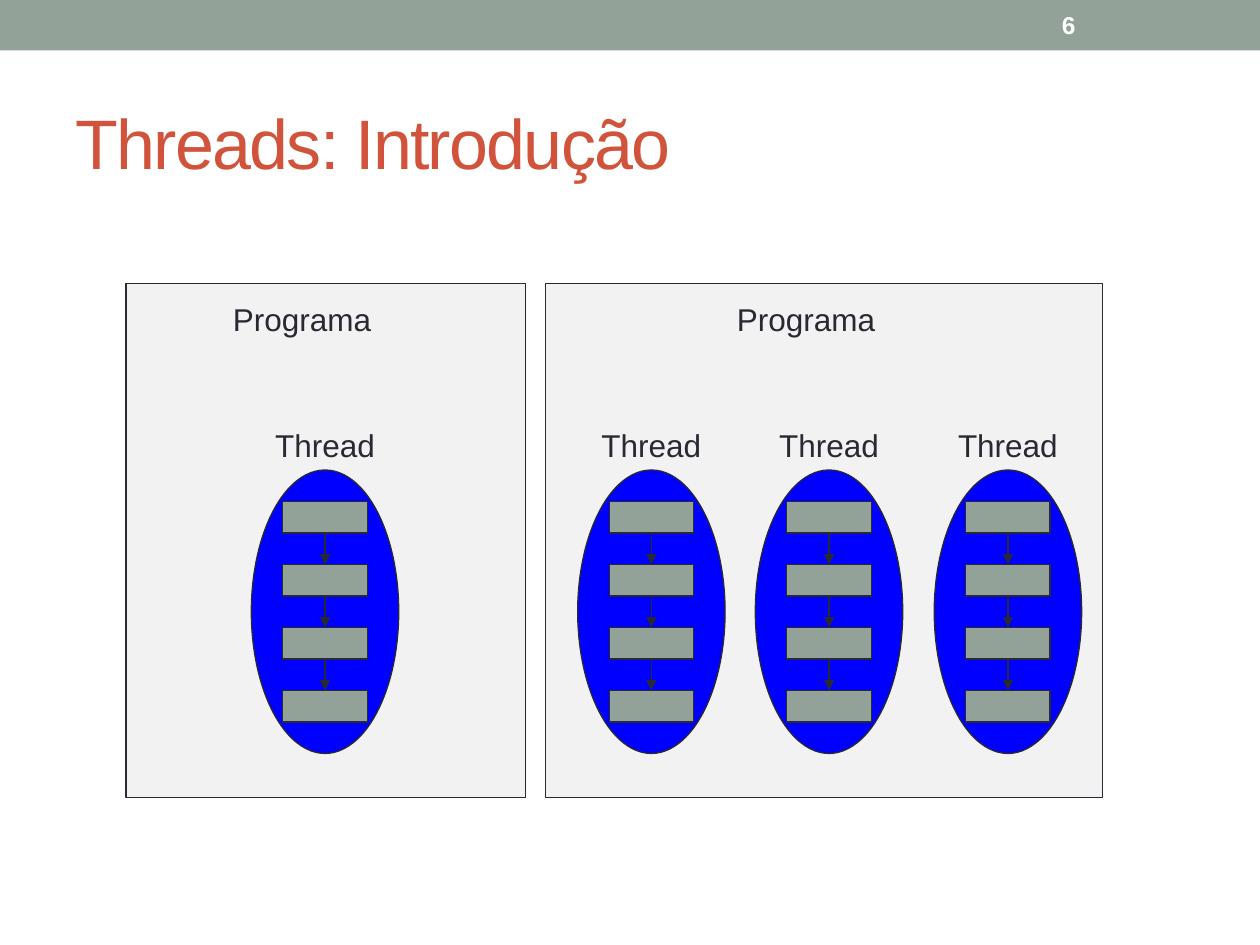
from dataclasses import dataclass

from pptx import Presentation
from pptx.dml.color import RGBColor
from pptx.enum.shapes import MSO_CONNECTOR, MSO_SHAPE
from pptx.enum.text import MSO_ANCHOR, MSO_AUTO_SIZE, PP_ALIGN
from pptx.oxml.ns import qn
from pptx.shapes.autoshape import Shape
from pptx.shapes.shapetree import GroupShapes
from pptx.slide import Slide
from pptx.text.text import TextFrame
from pptx.util import Inches, Pt
from lxml import etree

RECTANGLE = MSO_SHAPE.RECTANGLE
ELLIPSE = MSO_SHAPE.OVAL
STRAIGHT = MSO_CONNECTOR.STRAIGHT
MIDDLE = MSO_ANCHOR.MIDDLE
TOP = MSO_ANCHOR.TOP
LEFT = PP_ALIGN.LEFT
NO_AUTOFIT = MSO_AUTO_SIZE.NONE
BOTTOM_SIDE, TOP_SIDE = 2, 0


@dataclass(frozen=True)
class Theme:
    font: str = "Arial"
    band: RGBColor = RGBColor(0x93, 0xA2, 0x99)
    title: RGBColor = RGBColor(0xD2, 0x53, 0x3C)
    ink: RGBColor = RGBColor(0x29, 0x29, 0x34)
    panel: RGBColor = RGBColor(0xF2, 0xF2, 0xF2)
    thread: RGBColor = RGBColor(0x00, 0x00, 0xFF)
    white: RGBColor = RGBColor(0xFF, 0xFF, 0xFF)
    title_size: float = 40
    label_size: float = 18
    number_size: float = 14
    line_width: float = 0.75


@dataclass(frozen=True)
class Box:
    left: float
    top: float
    width: float
    height: float

    def lengths(self) -> tuple[Inches, ...]:
        return tuple(Inches(v) for v in (self.left, self.top, self.width, self.height))


@dataclass(frozen=True)
class Program:
    panel: Box
    label_left: float
    thread_centers: tuple[float, ...]


THEME = Theme()
THREAD_TOP = 3.73
THREAD_WIDTH, THREAD_HEIGHT = 1.17, 2.25
STEP_WIDTH, STEP_HEIGHT = 0.67, 0.25
STEP_COUNT, STEP_PITCH = 4, 0.5
LABEL_WIDTH, LABEL_HEIGHT = 0.99, 0.4
PROGRAMS = (
    Program(Box(1, 2.25, 3.17, 4.08), 1.75, (2.58,)),
    Program(Box(4.33, 2.25, 4.42, 4.08), 5.75, (5.17, 6.58, 8)),
)


def add_filled(shapes: GroupShapes, kind: MSO_SHAPE, box: Box,
               fill: RGBColor, outlined: bool = True) -> Shape:
    shape = shapes.add_shape(kind, *box.lengths())
    shape.shadow.inherit = False
    shape.fill.solid()
    shape.fill.fore_color.rgb = fill
    if outlined:
        shape.line.color.rgb = THEME.ink
        shape.line.width = Pt(THEME.line_width)
    else:
        shape.line.fill.background()
    return shape


def write(frame: TextFrame, text: str, size: float, color: RGBColor,
          anchor: MSO_ANCHOR = TOP, wrap: bool = True, bold: bool = False) -> None:
    frame.auto_size = NO_AUTOFIT
    frame.word_wrap = wrap
    frame.vertical_anchor = anchor
    frame.text = text
    paragraph = frame.paragraphs[0]
    paragraph.alignment = LEFT
    paragraph.font.name = THEME.font
    paragraph.font.size = Pt(size)
    paragraph.font.bold = bold
    paragraph.font.color.rgb = color


def add_label(shapes: GroupShapes, text: str, box: Box, wrap: bool = True) -> None:
    label = shapes.add_textbox(*box.lengths())
    write(label.text_frame, text, THEME.label_size, THEME.ink, wrap=wrap)


def add_arrow(shapes: GroupShapes, upper: Shape, lower: Shape) -> None:
    arrow = shapes.add_connector(STRAIGHT, 0, 0, 0, 0)
    arrow.begin_connect(upper, BOTTOM_SIDE)
    arrow.end_connect(lower, TOP_SIDE)
    arrow.line.color.rgb = THEME.ink
    arrow.line.width = Pt(THEME.line_width)
    properties = arrow.element.spPr
    etree.SubElement(properties.find(qn("a:ln")), qn("a:tailEnd"), type="triangle")
    etree.SubElement(properties, qn("a:effectLst"))


def add_thread(parent: GroupShapes, center: float) -> None:
    shapes = parent.add_group_shape().shapes
    add_filled(shapes, ELLIPSE, Box(center - THREAD_WIDTH / 2, THREAD_TOP,
                                    THREAD_WIDTH, THREAD_HEIGHT), THEME.thread)
    steps = [
        add_filled(shapes, RECTANGLE,
                   Box(center - STEP_WIDTH / 2, THREAD_TOP + 0.25 + row * STEP_PITCH,
                       STEP_WIDTH, STEP_HEIGHT), THEME.band)
        for row in range(STEP_COUNT)
    ]
    for upper, lower in zip(steps, steps[1:]):
        add_arrow(shapes, upper, lower)
    add_label(shapes, "Thread", Box(center - LABEL_WIDTH / 2, THREAD_TOP - LABEL_HEIGHT,
                                    LABEL_WIDTH, LABEL_HEIGHT), wrap=False)


def add_program(slide: Slide, program: Program) -> None:
    shapes = slide.shapes.add_group_shape().shapes
    add_filled(shapes, RECTANGLE, program.panel, THEME.panel)
    add_label(shapes, "Programa", Box(program.label_left, 2.33, 1.67, 0.5))
    for center in program.thread_centers:
        add_thread(shapes, center)


def add_title(slide: Slide, text: str) -> None:
    title = slide.shapes.title
    title.left, title.top, title.width, title.height = Box(0.5, 0.58, 9, 1.08).lengths()
    write(title.text_frame, text, THEME.title_size, THEME.title, MIDDLE)
    run = title.text_frame.paragraphs[0].runs[0]
    run.font.size = Pt(THEME.title_size)
    run.font.element.set("spc", "-100") if hasattr(run.font, "element") else \
        title.element.find(".//" + qn("a:rPr")).set("spc", "-100")


def main() -> None:
    presentation = Presentation()
    presentation.slide_width = Inches(10)
    presentation.slide_height = Inches(7.5)
    slide = presentation.slides.add_slide(presentation.slide_layouts[5])
    add_filled(slide.shapes, RECTANGLE, Box(0, 0, 10, 0.4), THEME.band, outlined=False)
    add_title(slide, "Threads: Introdução")
    for program in PROGRAMS:
        add_program(slide, program)
    number = slide.shapes.add_textbox(*Box(8.33, 0.02, 1.17, 0.36).lengths())
    write(number.text_frame, "6", THEME.number_size, THEME.white, MIDDLE, bold=True)
    presentation.save("out.pptx")


if __name__ == "__main__":
    main()
